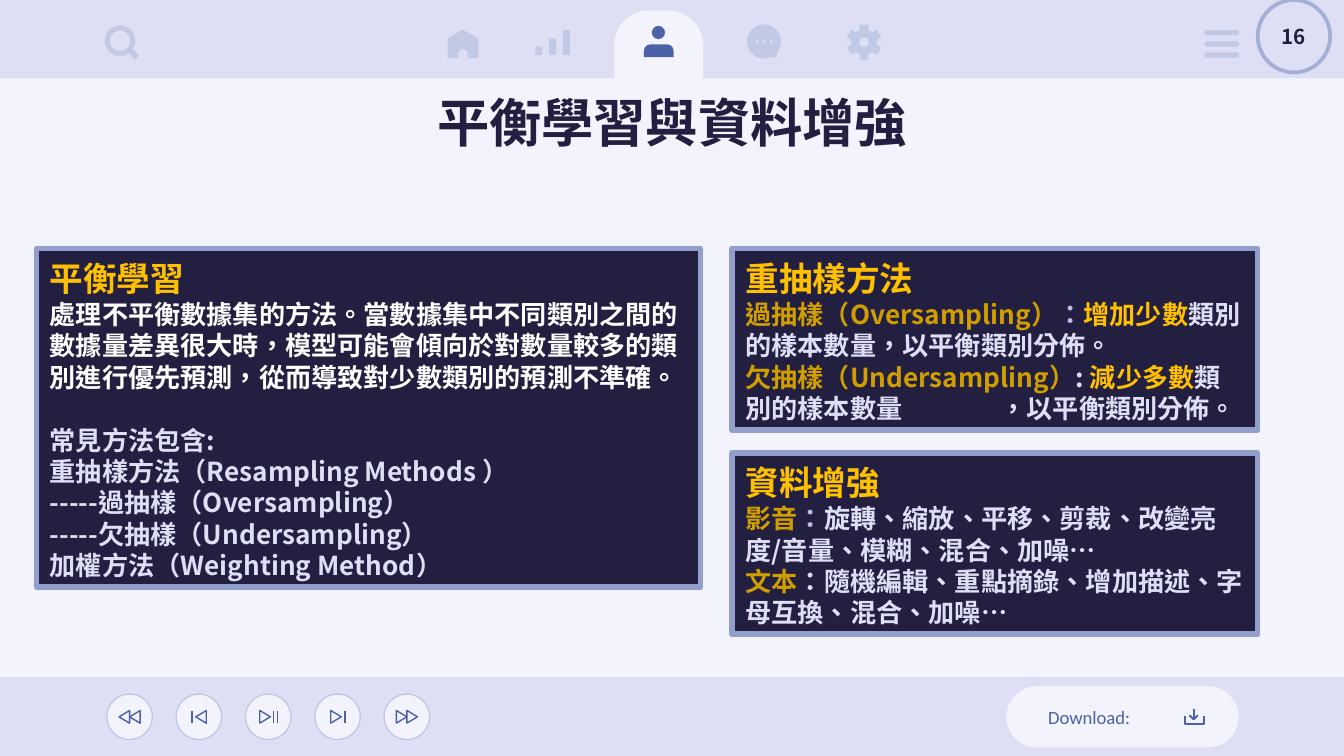
from math import cos, radians, sin

from pptx import Presentation
from pptx.dml.color import RGBColor
from pptx.enum.shapes import MSO_CONNECTOR, MSO_SHAPE
from pptx.enum.text import MSO_ANCHOR, PP_ALIGN
from pptx.oxml.ns import qn
from pptx.util import Cm, Pt
from lxml.etree import SubElement

PALE = RGBColor(0xF2, 0xF3, 0xFD)
BAND = RGBColor(0xDE, 0xDF, 0xF5)
ICON = RGBColor(0xC1, 0xC9, 0xE4)
BLUE = RGBColor(0x4D, 0x61, 0xA9)
NAVY = RGBColor(0x23, 0x1F, 0x40)
BORDER = RGBColor(0x92, 0x9F, 0xCD)
RING = RGBColor(0xA4, 0xAF, 0xD7)
GOLD = RGBColor(0xFF, 0xC0, 0x00)
DARK_GOLD = RGBColor(0xD0, 0x9E, 0x00)
LILAC = RGBColor(0xBA, 0xBC, 0xEA)
WHITE = RGBColor(0xFF, 0xFF, 0xFF)
CJK = "Noto Sans CJK SC"

# Content: each panel has a frame, a heading and paragraphs of (text, colour) runs
TITLE = "平衡學習與資料增強"
PAGE = "16"
PANELS = [
    ((0.69, 4.7, 12.55, 6.4), "平衡學習", [
        [("處理不平衡數據集的方法。當數據集中不同類別之間的數據量差異很大時，模型可能會傾向於"
          "對數量較多的類別進行優先預測，從而導致對少數類別的預測不準確。", WHITE)],
        [("常見方法包含:", BAND)],
        [("重抽樣方法（Resampling Methods ）", BAND)],
        [("-----過抽樣（Oversampling）", BAND)],
        [("-----欠抽樣（Undersampling）", BAND)],
        [("加權方法（Weighting Method）", BAND)],
    ]),
    ((13.84, 4.7, 9.93, 3.43), "重抽樣方法", [
        [("過抽樣（Oversampling）", DARK_GOLD), ("：", LILAC), ("增加少數", GOLD),
         ("類別的樣本數量，以平衡類別分佈。", BAND)],
        [("欠抽樣（Undersampling）", DARK_GOLD), (": ", BAND), ("減少多數", GOLD),
         ("類別的樣本數量\t，以平衡類別分佈。", BAND)],
    ]),
    ((13.84, 8.56, 9.93, 3.43), "資料增強", [
        [("影音", DARK_GOLD), ("：", LILAC),
         ("旋轉、縮放、平移、剪裁、改變亮度/音量、模糊、混合、加噪…", BAND)],
        [("文本", DARK_GOLD), ("：隨機編輯、重點摘錄、增加描述、字母互換、混合、加噪…", BAND)],
    ]),
]
SECTION_START = "常見方法包含:"
# Player buttons: triangle rotation, triangle offsets, bar offsets
BUTTONS = [
    (270, (-0.1, 0.1), ()),
    (270, (0.04,), (-0.13,)),
    (90, (-0.06,), (0.1, 0.18)),
    (90, (-0.03,), (0.14,)),
    (90, (-0.1, 0.1), ()),
]

presentation = Presentation()
presentation.slide_width, presentation.slide_height = Cm(25.4), Cm(14.29)
slide = presentation.slides.add_slide(presentation.slide_layouts[6])
slide.background.fill.solid()
slide.background.fill.fore_color.rgb = PALE


def paint(shape, fill=None, line=None, width=0.75):
    shape.shadow.inherit = False
    if fill is None:
        shape.fill.background()
    else:
        shape.fill.solid()
        shape.fill.fore_color.rgb = fill
    if line is None:
        shape.line.fill.background()
    else:
        shape.line.color.rgb = line
        shape.line.width = Pt(width)
    return shape


def add_shape(kind, frame, fill=None, line=None, width=0.75, adjust=()):
    shape = slide.shapes.add_shape(kind, *map(Cm, frame))
    for index, value in enumerate(adjust):
        shape.adjustments[index] = value
    return paint(shape, fill, line, width)


def add_outline(points, closed=True, **style):
    corners = [(Cm(x), Cm(y)) for x, y in points]
    builder = slide.shapes.build_freeform(*corners[0])
    builder.add_line_segments(corners[1:], close=closed)
    return paint(builder.convert_to_shape(), **style)


def add_line(x1, y1, x2, y2, color, width):
    line = slide.shapes.add_connector(MSO_CONNECTOR.STRAIGHT, Cm(x1), Cm(y1), Cm(x2), Cm(y2))
    line.line.color.rgb = color
    line.line.width = Pt(width)
    SubElement(line._element.spPr, qn("a:effectLst"))


def add_run(paragraph, text, size, color, font=CJK, bold=True):
    run = paragraph.add_run()
    run.text = text
    run.font.size, run.font.bold, run.font.name = Pt(size), bold, font
    run.font.color.rgb = color
    properties = run._r.get_or_add_rPr()
    properties.set("lang", "zh-TW")
    SubElement(properties, qn("a:ea")).set("typeface", font)


def prepare_text(shape, anchor, horizontal, vertical):
    frame = shape.text_frame
    frame.word_wrap = True
    frame.vertical_anchor = anchor
    frame.margin_left = frame.margin_right = Cm(horizontal)
    frame.margin_top = frame.margin_bottom = Cm(vertical)
    return frame


def add_label(shape, text, size, color, align=PP_ALIGN.CENTER, **style):
    paragraph = prepare_text(shape, MSO_ANCHOR.MIDDLE, 0, 0).paragraphs[0]
    paragraph.alignment = align
    add_run(paragraph, text, size, color, **style)


# Bands and active tab
for top, height in ((12.8, 1.49), (0, 1.48)):
    add_shape(MSO_SHAPE.RECTANGLE, (0, top, 25.4, height), BAND)
add_shape(MSO_SHAPE.ROUND_2_SAME_RECTANGLE, (11.61, 0.2, 1.68, 1.3), PALE, adjust=(0.5, 0))

# Person
add_shape(MSO_SHAPE.OVAL, (12.32, 0.49, 0.25, 0.25), BLUE)
add_shape(MSO_SHAPE.ROUND_2_SAME_RECTANGLE, (12.17, 0.84, 0.56, 0.24), BLUE, adjust=(0.5, 0))

# House
add_outline([(8.75, 0.56), (8.46, 0.73), (8.46, 1.1), (8.66, 1.1), (8.66, 0.97), (8.75, 0.92),
             (8.84, 0.97), (8.84, 1.1), (9.04, 1.1), (9.04, 0.73)], fill=ICON)

# Bar icon
for index, height in enumerate((0.16, 0.31, 0.47)):
    add_shape(MSO_SHAPE.RECTANGLE, (10.12 + 0.26 * index, 1.04 - height, 0.13, height), ICON)

# Speech bubble
add_shape(MSO_SHAPE.OVAL_CALLOUT, (14.12, 0.46, 0.64, 0.65), ICON, adjust=(0.38, 0.47))
for index in range(3):
    add_shape(MSO_SHAPE.OVAL, (14.29 + 0.13 * index, 0.76, 0.05, 0.05), BAND)

# Gear
teeth = [(60 * tooth + offset, radius) for tooth in range(6)
         for offset, radius in ((-20, 0.24), (-14, 0.34), (14, 0.34), (20, 0.24))]
add_outline([(16.33 + radius * sin(radians(angle)), 0.8 - radius * cos(radians(angle)))
             for angle, radius in teeth], fill=ICON)
add_shape(MSO_SHAPE.OVAL, (16.24, 0.71, 0.18, 0.18), BAND)

# Menu
for index in range(3):
    add_shape(MSO_SHAPE.ROUNDED_RECTANGLE, (22.76, 0.57 + 0.21 * index, 0.66, 0.1), ICON,
              adjust=(0.5,))

# Magnifier
add_shape(MSO_SHAPE.DONUT, (1.98, 0.48, 0.58, 0.58), ICON, adjust=(0.17,))
add_line(2.44, 0.94, 2.59, 1.09, ICON, 3)

# Player buttons
BUTTON_Y = 13.55
for index, (rotation, triangles, bars) in enumerate(BUTTONS):
    center = 2.45 + 1.31 * index
    add_shape(MSO_SHAPE.OVAL, (center - 0.43, BUTTON_Y - 0.43, 0.86, 0.86), PALE, ICON)
    for offset in triangles:
        triangle = add_shape(MSO_SHAPE.ISOSCELES_TRIANGLE,
                             (center + offset - 0.12, BUTTON_Y - 0.1, 0.24, 0.2), line=BLUE)
        triangle.rotation = rotation
    for offset in bars:
        add_line(center + offset, BUTTON_Y - 0.12, center + offset, BUTTON_Y + 0.12, BLUE, 0.75)

# Download pill
add_shape(MSO_SHAPE.ROUNDED_RECTANGLE, (19.02, 12.97, 4.39, 1.16), PALE, adjust=(0.5,))
add_line(22.56, 13.4, 22.56, 13.6, BLUE, 1)
for stroke in ([(22.39, 13.54), (22.39, 13.68), (22.75, 13.68), (22.75, 13.54)],
               [(22.48, 13.52), (22.56, 13.6), (22.64, 13.52)]):
    add_outline(stroke, closed=False, line=BLUE, width=1)
download = slide.shapes.add_textbox(Cm(19.81), Cm(13.23), Cm(2.2), Cm(0.64))
add_label(download, "Download:", 10, BLUE, PP_ALIGN.LEFT, font="Calibri", bold=False)

# Title and page number
title = slide.shapes.add_textbox(Cm(2), Cm(1.5), Cm(21.4), Cm(1.6))
add_label(title, TITLE, 28, NAVY)
page = add_shape(MSO_SHAPE.OVAL, (23.77, 0, 1.37, 1.37), BAND, RING, 2)
add_label(page, PAGE, 11, NAVY)

# Text panels
for frame, heading, paragraphs in PANELS:
    panel = add_shape(MSO_SHAPE.RECTANGLE, frame, NAVY, BORDER, 3)
    text_frame = prepare_text(panel, MSO_ANCHOR.TOP, 0.25, 0.13)
    first = text_frame.paragraphs[0]
    first.alignment = PP_ALIGN.LEFT
    first.line_spacing = Pt(23)
    add_run(first, heading, 18, GOLD)
    for runs in paragraphs:
        paragraph = text_frame.add_paragraph()
        paragraph.alignment = PP_ALIGN.LEFT
        paragraph.line_spacing = Pt(16.8)
        if runs[0][0] == SECTION_START:
            paragraph.space_before = Pt(16.8)
        if any("\t" in text for text, color in runs):
            tabs = SubElement(paragraph._p.get_or_add_pPr(), qn("a:tabLst"))
            SubElement(tabs, qn("a:tab"), pos=str(Cm(4.82)), algn="l")
        for text, color in runs:
            add_run(paragraph, text, 14, color)

presentation.save("out.pptx")
